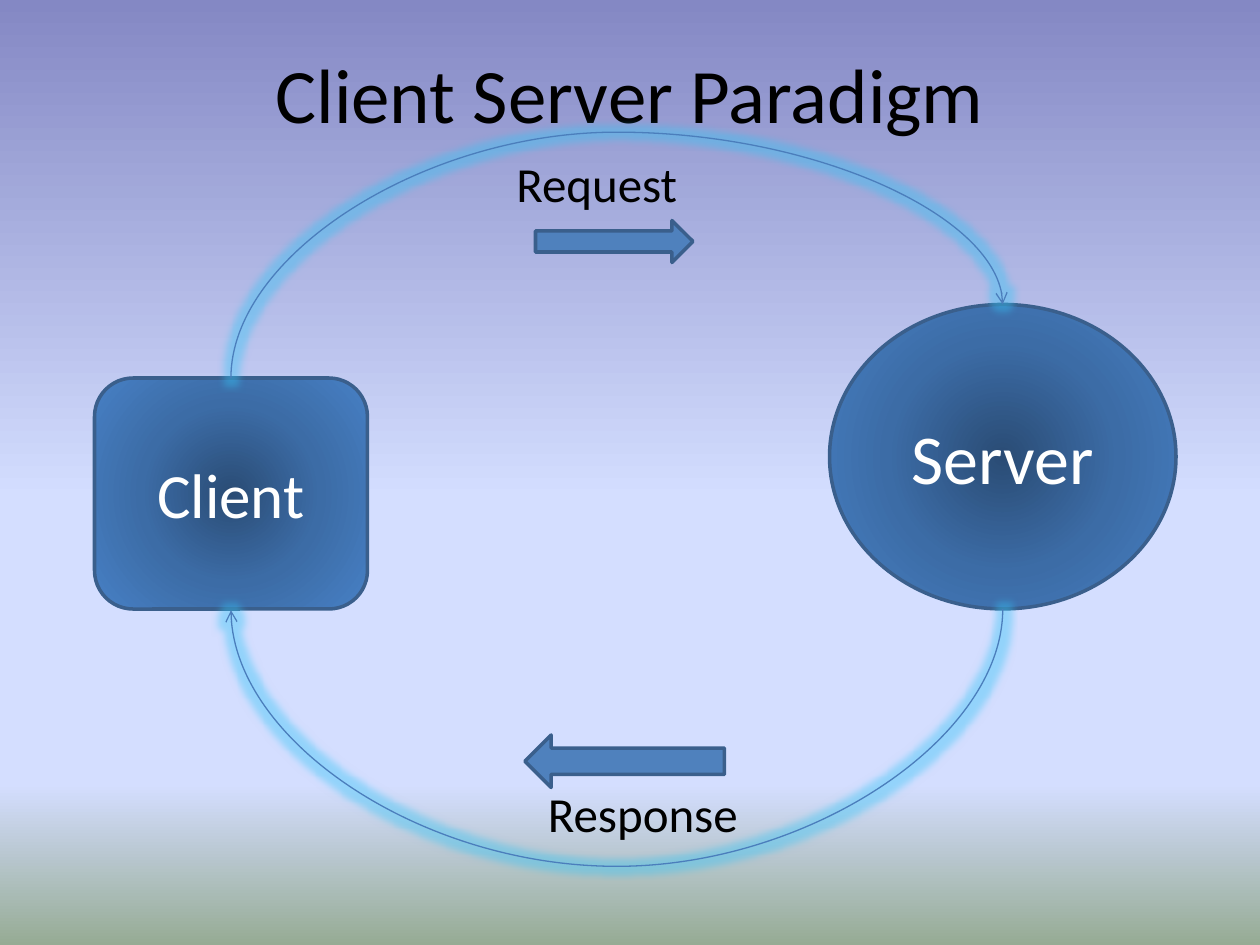
from dataclasses import dataclass

from lxml import etree
from pptx import Presentation
from pptx.dml.color import RGBColor
from pptx.enum.shapes import MSO_CONNECTOR, MSO_SHAPE
from pptx.enum.text import MSO_ANCHOR, PP_ALIGN
from pptx.oxml import parse_xml
from pptx.oxml.ns import qn
from pptx.util import Inches, Pt

CURVE = MSO_CONNECTOR.CURVE
ELLIPSE = MSO_SHAPE.OVAL
ROUNDED = MSO_SHAPE.ROUNDED_RECTANGLE
RIGHT_ARROW = MSO_SHAPE.RIGHT_ARROW
LEFT_ARROW = MSO_SHAPE.LEFT_ARROW
CENTER = PP_ALIGN.CENTER
LEFT = PP_ALIGN.LEFT
MIDDLE = MSO_ANCHOR.MIDDLE
TOP = MSO_ANCHOR.TOP

COLUMNS, ROWS = 120, 90
SLIDE_WIDTH, SLIDE_HEIGHT = Inches(10), Inches(7.5)
DRAWING_NS = "http://schemas.openxmlformats.org/drawingml/2006/main"

SKY = [(0, "8488C4"), (53, "D4DEFF"), (83, "D4DEFF"), (100, "96AB94")]
NODE_GLOW = [(0, "2A4C75"), (50, "3C6CA6"), (100, "4780C5")]
DOWNWARD = '<a:lin ang="5400000" scaled="0"/>'
FROM_CENTER = '<a:path path="circle"><a:fillToRect l="50000" t="50000" r="50000" b="50000"/></a:path>'
OUTLINE = "3A5F8C"


@dataclass(frozen=True)
class Box:
    column: float
    row: float
    columns: float
    rows: float

    @property
    def middle(self) -> float:
        return self.column + self.columns / 2

    @property
    def bottom(self) -> float:
        return self.row + self.rows


@dataclass(frozen=True)
class Block:
    preset: int
    box: Box
    label: str = ""
    size: int = 0


@dataclass(frozen=True)
class Caption:
    text: str
    box: Box


@dataclass(frozen=True)
class Arc:
    start: tuple[float, float]
    end: tuple[float, float]
    peak: float


CLIENT = Block(ROUNDED, Box(9, 36, 26, 22), "Client", 36)
SERVER = Block(ELLIPSE, Box(79, 29, 33, 29), "Server", 40)
DIRECTIONS = [
    Block(RIGHT_ARROW, Box(51, 21, 15, 4)),
    Block(LEFT_ARROW, Box(50, 70, 19, 5)),
]
CAPTIONS = [
    Caption("Request", Box(48, 14, 17.9, 6.8)),
    Caption("Response", Box(51, 74, 20.8, 6.8)),
]
ARCS = [
    Arc((CLIENT.box.middle, CLIENT.box.row), (SERVER.box.middle, SERVER.box.row), 12.6),
    Arc((SERVER.box.middle, SERVER.box.bottom), (CLIENT.box.middle, CLIENT.box.bottom + 0.12), 82.9),
]


def x(columns: float) -> int:
    return round(SLIDE_WIDTH * columns / COLUMNS)


def y(rows: float) -> int:
    return round(SLIDE_HEIGHT * rows / ROWS)


def place(box: Box) -> tuple[int, int, int, int]:
    return x(box.column), y(box.row), x(box.columns), y(box.rows)


def color(hex_code: str) -> RGBColor:
    return RGBColor.from_string(hex_code)


def write(holder, text: str, *, size: int, ink: str = "000000", align=LEFT, anchor=TOP, wrap: bool = True) -> None:
    frame = holder.text_frame
    frame.word_wrap = wrap
    frame.vertical_anchor = anchor
    paragraph = frame.paragraphs[0]
    paragraph.alignment = align
    run = paragraph.add_run()
    run.text = text
    run.font.name = "Calibri"
    run.font.size = Pt(size)
    run.font.color.rgb = color(ink)


def set_gradient(properties, stops: list[tuple[int, str]], direction: str) -> None:
    stop_list = "".join(
        f'<a:gs pos="{share * 1000}"><a:srgbClr val="{shade}"/></a:gs>' for share, shade in stops
    )
    gradient = parse_xml(
        f'<a:gradFill xmlns:a="{DRAWING_NS}" rotWithShape="1"><a:gsLst>{stop_list}</a:gsLst>{direction}</a:gradFill>'
    )
    properties.replace(properties.find(qn("a:solidFill")), gradient)


def draw_block(slide, block: Block):
    shape = slide.shapes.add_shape(block.preset, *place(block.box))
    shape.shadow.inherit = False
    shape.fill.solid()
    shape.fill.fore_color.rgb = color("4F81BD")
    shape.line.color.rgb = color(OUTLINE)
    shape.line.width = Pt(2)
    return shape


def draw_node(slide, node: Block) -> None:
    shape = draw_block(slide, node)
    set_gradient(shape.element.spPr, NODE_GLOW, FROM_CENTER)
    write(shape, node.label, size=node.size, ink="FFFFFF", align=CENTER, anchor=MIDDLE)


def draw_arc(slide, arc: Arc) -> None:
    (start_x, start_y), (end_x, end_y) = arc.start, arc.end
    run, rise = x(end_x - start_x), y(end_y - start_y)
    connector = slide.shapes.add_connector(CURVE, 0, 0, 0, 0)
    connector.width, connector.height = abs(rise), abs(run)
    connector.left = round(x(start_x + end_x) / 2 - abs(rise) / 2)
    connector.top = round(y(start_y + end_y) / 2 - abs(run) / 2)
    connector.line.color.rgb = color("4B7EBC")
    connector.line.width = Pt(0.75)

    properties = connector.element.spPr
    transform = properties.find(qn("a:xfrm"))
    transform.set("rot", "5400000")
    if rise < 0:
        transform.set("flipH", "1")
    if run > 0:
        transform.set("flipV", "1")

    bend = round((arc.peak - start_y) / (end_y - start_y) * 100000)
    adjustments = properties.find(qn("a:prstGeom")).find(qn("a:avLst"))
    etree.SubElement(adjustments, qn("a:gd"), name="adj1", fmla=f"val {bend}")
    etree.SubElement(properties.find(qn("a:ln")), qn("a:tailEnd"), type="arrow")
    properties.append(parse_xml(
        f'<a:effectLst xmlns:a="{DRAWING_NS}"><a:glow rad="101600">'
        '<a:srgbClr val="33C4F5"><a:alpha val="40000"/></a:srgbClr></a:glow></a:effectLst>'
    ))


def draw_caption(slide, caption: Caption) -> None:
    holder = slide.shapes.add_textbox(*place(caption.box))
    write(holder, caption.text, size=28, wrap=False)


def main() -> None:
    deck = Presentation()
    deck.slide_width, deck.slide_height = SLIDE_WIDTH, SLIDE_HEIGHT
    slide = deck.slides.add_slide(deck.slide_layouts[5])

    slide.background.fill.solid()
    set_gradient(slide.element.find(".//" + qn("p:bgPr")), SKY, DOWNWARD)

    title = slide.shapes.title
    title.left, title.top, title.width, title.height = place(Box(6, 3.6, 108, 10.4))
    write(title, "Client Server Paradigm", size=44, align=CENTER, anchor=MIDDLE)

    for node in (SERVER, CLIENT):
        draw_node(slide, node)
    for arc in ARCS:
        draw_arc(slide, arc)
    for caption in CAPTIONS:
        draw_caption(slide, caption)
    for direction in DIRECTIONS:
        draw_block(slide, direction)

    deck.save("out.pptx")


if __name__ == "__main__":
    main()
